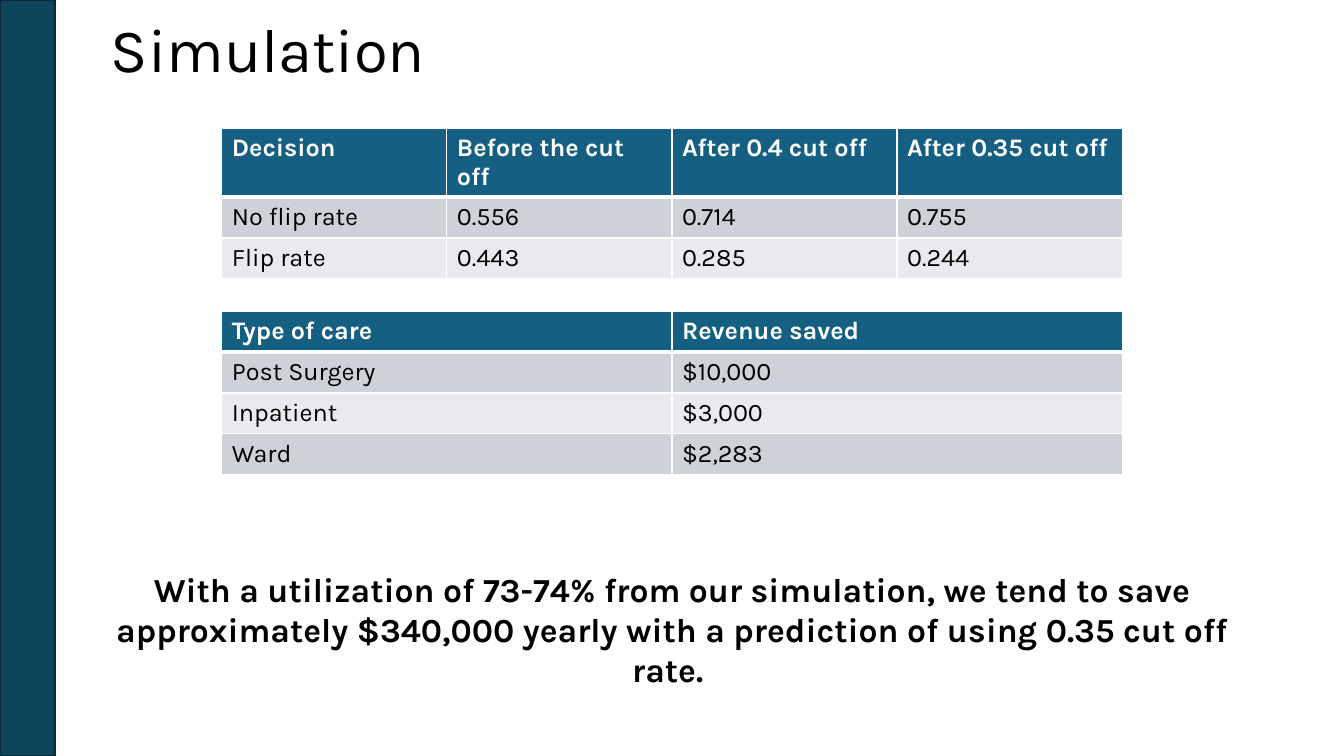
from dataclasses import dataclass

from lxml.etree import SubElement
from pptx import Presentation
from pptx.dml.color import RGBColor
from pptx.enum.shapes import MSO_SHAPE
from pptx.enum.text import MSO_ANCHOR, MSO_AUTO_SIZE, PP_ALIGN
from pptx.oxml.ns import qn
from pptx.util import Inches, Pt

TITLE = "Simulation"
FLIP_RATES = [
    ("Decision", "Before the cut off", "After 0.4 cut off", "After 0.35 cut off"),
    ("No flip rate", "0.556", "0.714", "0.755"),
    ("Flip rate", "0.443", "0.285", "0.244"),
]
SAVINGS = [
    ("Type of care", "Revenue saved"),
    ("Post Surgery", "$10,000"),
    ("Inpatient", "$3,000"),
    ("Ward", "$2,283"),
]
CONCLUSION = (
    "With a utilization of 73-74% from our simulation, we tend to save "
    "approximately $340,000 yearly with a prediction of using 0.35 cut off rate. "
)


@dataclass(frozen=True)
class Theme:
    font: str = "Karla"
    ink: str = "000000"
    paper: str = "FFFFFF"
    band: str = "0F445D"
    band_edge: str = "092A39"
    header: str = "156082"
    stripes: tuple = ("CCD2D8", "E8EAED")
    title_size: int = 44
    conclusion_size: int = 24
    cell_size: int = 18
    rule: int = 1
    header_rule: int = 3


THEME = Theme()
SLIDE_W, SLIDE_H = 13.33, 7.5
BAND_W = 0.55
MARGIN = 1
TEXT_W = SLIDE_W - 2 * MARGIN
TABLE_LEFT = 2.2
TABLE_W = SLIDE_W - 2 * TABLE_LEFT
ROW_H = 0.405


def color(value):
    return RGBColor.from_string(value)


def write(frame, text, size, ink=THEME.ink, bold=False, align=PP_ALIGN.LEFT, spacing=None):
    frame.word_wrap = True
    paragraph = frame.paragraphs[0]
    paragraph.alignment = align
    if spacing:
        paragraph.line_spacing = spacing
    run = paragraph.add_run()
    run.text = text
    run.font.name = THEME.font
    run.font.size = Pt(size)
    run.font.bold = bold
    run.font.color.rgb = color(ink)


def rule_cell(cell, top, bottom):
    """Draw the four borders; top and bottom are widths in points."""
    properties = cell._tc.get_or_add_tcPr()
    widths = {"lnL": THEME.rule, "lnR": THEME.rule, "lnT": top, "lnB": bottom}
    for side, width in widths.items():
        line = SubElement(properties, qn(f"a:{side}"), w=str(Pt(width)))
        fill = SubElement(line, qn("a:solidFill"))
        SubElement(fill, qn("a:srgbClr"), val=THEME.paper)


def add_striped_table(slide, rows, top):
    columns = len(rows[0])
    table = slide.shapes.add_table(
        len(rows), columns, Inches(TABLE_LEFT), Inches(top),
        Inches(TABLE_W), Inches(ROW_H * len(rows)),
    ).table
    for column in table.columns:
        column.width = Inches(TABLE_W / columns)
    for r, row in enumerate(rows):
        is_header = r == 0
        above = THEME.header_rule if r == 1 else THEME.rule
        below = THEME.header_rule if is_header else THEME.rule
        background = THEME.header if is_header else THEME.stripes[(r - 1) % 2]
        for c, text in enumerate(row):
            cell = table.cell(r, c)
            rule_cell(cell, above, below)
            cell.fill.solid()
            cell.fill.fore_color.rgb = color(background)
            write(cell.text_frame, text, THEME.cell_size, bold=is_header,
                  ink=THEME.paper if is_header else THEME.ink)


def main():
    deck = Presentation()
    deck.slide_width, deck.slide_height = Inches(SLIDE_W), Inches(SLIDE_H)
    slide = deck.slides.add_slide(deck.slide_layouts[5])

    band = slide.shapes.add_shape(MSO_SHAPE.RECTANGLE, 0, 0, Inches(BAND_W), Inches(SLIDE_H))
    band.shadow.inherit = False
    band.fill.solid()
    band.fill.fore_color.rgb = color(THEME.band)
    band.line.color.rgb = color(THEME.band_edge)
    band.line.width = Pt(1.5)

    add_striped_table(slide, FLIP_RATES, top=1.27)
    add_striped_table(slide, SAVINGS, top=3.09)

    conclusion = slide.shapes.add_textbox(
        Inches(MARGIN), Inches(5.59), Inches(TEXT_W), Inches(0.91))
    write(conclusion.text_frame, CONCLUSION, THEME.conclusion_size,
          bold=True, align=PP_ALIGN.CENTER)

    title = slide.shapes.title
    title.left, title.top = Inches(MARGIN), Inches(0.02)
    title.width, title.height = Inches(TEXT_W), Inches(1)
    title.text_frame.vertical_anchor = MSO_ANCHOR.MIDDLE
    title.text_frame.auto_size = MSO_AUTO_SIZE.NONE
    write(title.text_frame, TITLE, THEME.title_size, spacing=0.9)

    deck.save("out.pptx")


if __name__ == "__main__":
    main()
